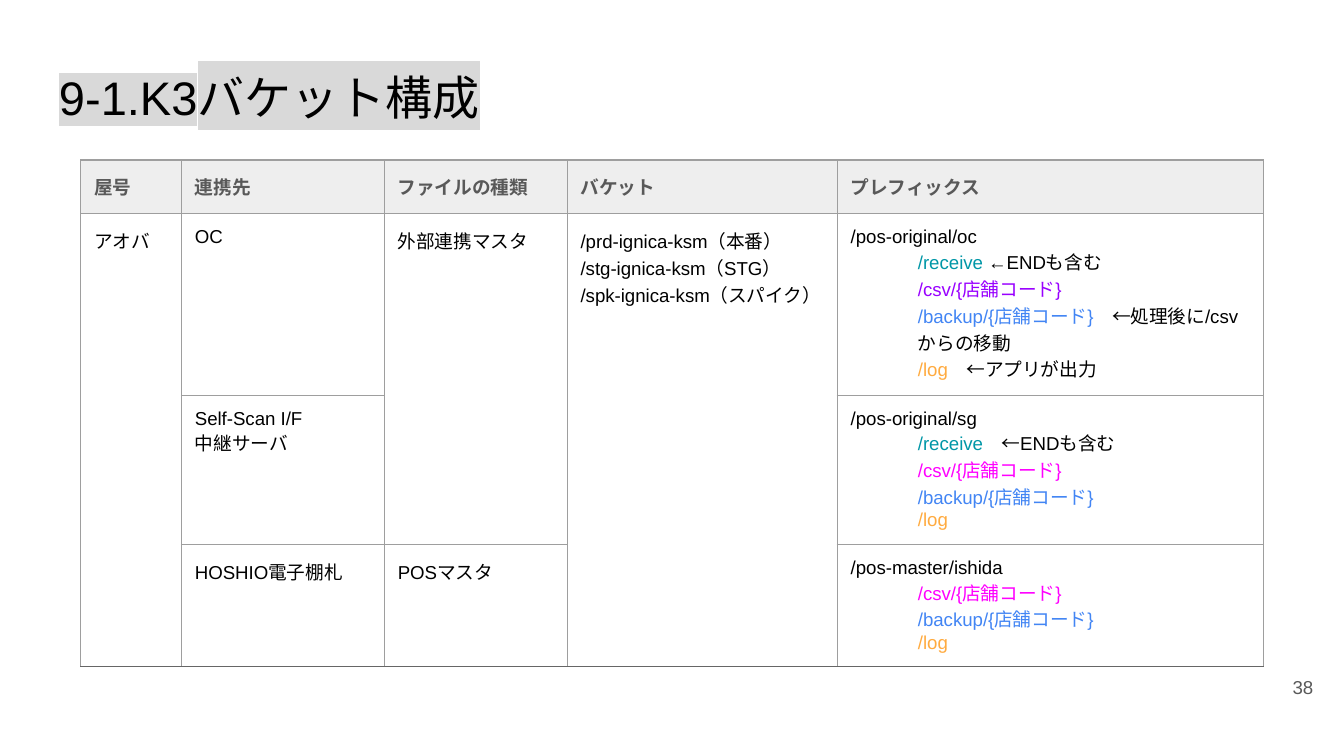
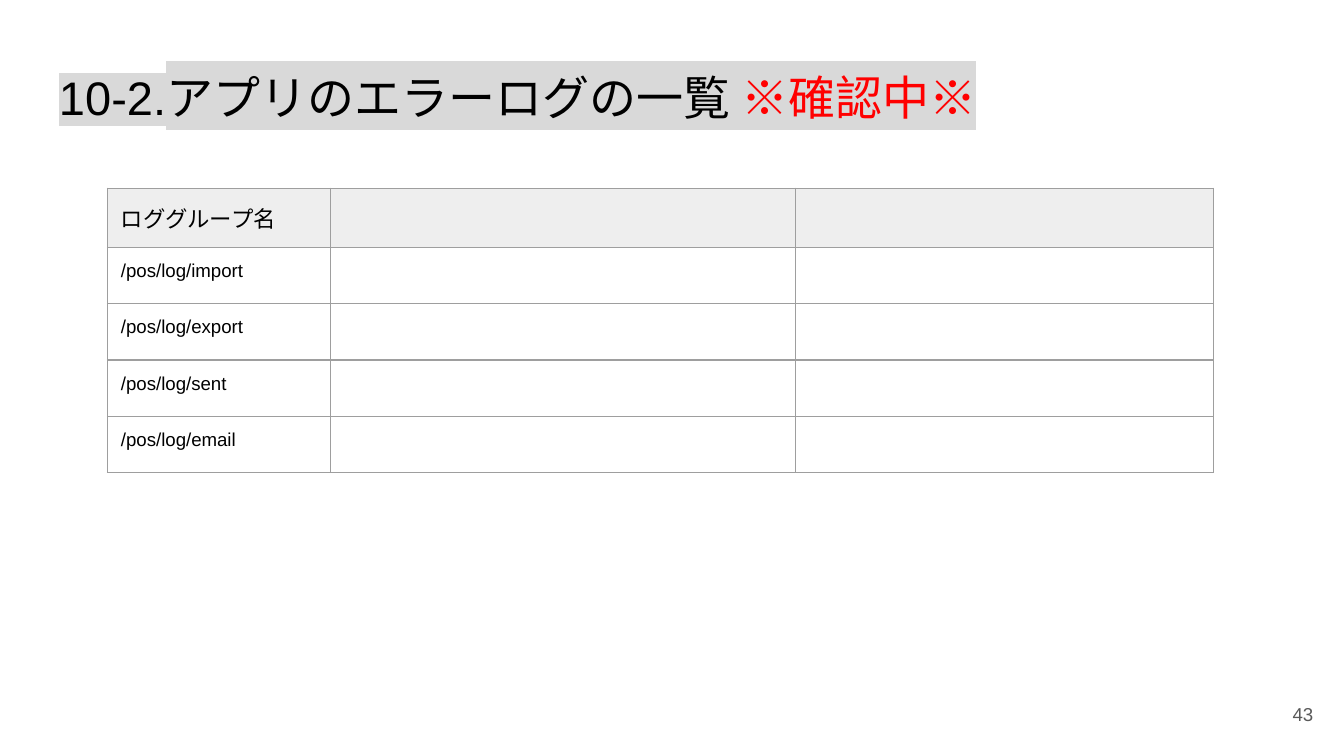
from dataclasses import dataclass

from pptx import Presentation
from pptx.dml.color import RGBColor
from pptx.enum.text import MSO_ANCHOR, PP_ALIGN
from pptx.oxml import parse_xml
from pptx.oxml.ns import nsdecls, qn
from pptx.util import Inches, Pt

COLORS = {
    "black": "000000",
    "gray": "595959",
    "red": "FF0000",
    "highlight": "D9D9D9",
    "header": "EEEEEE",
    "border": "9E9E9E",
    "last_border": "666666",
    "teal": "0097A7",
    "purple": "9900FF",
    "magenta": "FF00FF",
    "blue": "4285F4",
    "orange": "FFAB40",
}
FONT = "Arial"
MARGIN = Inches(0.1)


@dataclass(frozen=True)
class Span:
    text: str
    color: str = "black"


@dataclass(frozen=True)
class Line:
    spans: tuple[Span, ...]
    indented: bool = False


@dataclass(frozen=True)
class Style:
    size: float
    bold: bool = False
    highlight: str = ""


@dataclass(frozen=True)
class Grid:
    left: float
    top: float
    columns: tuple[float, ...]
    rows: tuple[float, ...]
    header_style: Style
    bottom: str = "border"
    merges: tuple[tuple[int, int, int], ...] = ()


TITLE = Style(25.2, highlight="highlight")
BODY = Style(10)


def plain(text: str, color: str = "black") -> list[Line]:
    return [Line((Span(part, color),)) for part in text.split("\n")]


def folder(*spans: Span) -> Line:
    return Line(spans, indented=True)


def write_lines(frame, lines: list[Line], style: Style) -> None:
    for index, line in enumerate(lines):
        paragraph = frame.add_paragraph() if index else frame.paragraphs[0]
        if line.indented:
            properties = paragraph._p.get_or_add_pPr()
            properties.set("marL", str(Inches(0.5)))
            properties.set("indent", "0")
        for span in line.spans:
            run = paragraph.add_run()
            run.text = span.text
            font = run.font
            font.size = Pt(style.size)
            font.bold = style.bold
            font.color.rgb = RGBColor.from_string(COLORS[span.color])
            font.name = FONT
            if style.highlight:
                run._r.get_or_add_rPr().find(qn("a:solidFill")).addnext(parse_xml(
                    f'<a:highlight {nsdecls("a")}>'
                    f'<a:srgbClr val="{COLORS[style.highlight]}"/></a:highlight>'
                ))


def add_text(slide, left: float, top: float, width: float, height: float,
             lines: list[Line], style: Style):
    frame = slide.shapes.add_textbox(
        Inches(left), Inches(top), Inches(width), Inches(height)
    ).text_frame
    frame.word_wrap = True
    frame.margin_left = frame.margin_right = MARGIN
    frame.margin_top = frame.margin_bottom = MARGIN
    write_lines(frame, lines, style)
    return frame


def add_page(deck, title: tuple[Span, ...], number: int, number_top: float):
    slide = deck.slides.add_slide(deck.slide_layouts[6])
    heading = add_text(slide, 0.34, 0.46, 9.32, 0.63, [Line(title)], TITLE)
    heading.paragraphs[0].line_spacing = 0.9
    page_number = add_text(slide, 9.27, number_top, 0.6, 0.43,
                           plain(str(number), "gray"), BODY)
    page_number.vertical_anchor = MSO_ANCHOR.MIDDLE
    page_number.paragraphs[0].alignment = PP_ALIGN.RIGHT
    return slide


def set_borders(cell, bottom: str) -> None:
    properties = cell._tc.get_or_add_tcPr()
    for side in "LRTB":
        color = COLORS[bottom if side == "B" else "border"]
        properties.append(parse_xml(
            f'<a:ln{side} {nsdecls("a")} w="{Pt(0.75)}"><a:solidFill>'
            f'<a:srgbClr val="{color}"/></a:solidFill></a:ln{side}>'
        ))


def add_grid(slide, grid: Grid, content: dict[tuple[int, int], list[Line]]) -> None:
    table = slide.shapes.add_table(
        len(grid.rows), len(grid.columns), Inches(grid.left), Inches(grid.top),
        Inches(sum(grid.columns)), Inches(sum(grid.rows)),
    ).table
    table.first_row = table.horz_banding = False
    for column, width in zip(table.columns, grid.columns):
        column.width = Inches(width)
    for row, height in zip(table.rows, grid.rows):
        row.height = Inches(height)
    for column, first, last in grid.merges:
        table.cell(first, column).merge(table.cell(last, column))
    for r in range(len(grid.rows)):
        for c in range(len(grid.columns)):
            cell = table.cell(r, c)
            if cell.is_spanned:
                continue
            cell.margin_left = cell.margin_right = MARGIN
            cell.margin_top = cell.margin_bottom = MARGIN
            at_bottom = r + cell.span_height == len(grid.rows)
            set_borders(cell, grid.bottom if at_bottom else "border")
            if r:
                cell.fill.background()
            else:
                cell.fill.solid()
                cell.fill.fore_color.rgb = RGBColor.from_string(COLORS["header"])
            style = BODY if r else grid.header_style
            lines = content.get((r, c), [])
            write_lines(cell.text_frame, lines, style)
            if not lines:
                ending = cell.text_frame.paragraphs[0]._p.get_or_add_endParaRPr()
                ending.set("sz", str(int(style.size * 100)))


def build_buckets(deck) -> None:
    slide = add_page(deck, (Span("9-1.K3バケット構成"),), 38, 4.9)
    receive = Span("/receive", "teal")
    backup = Span("/backup/{店舗コード}", "blue")
    log = Span("/log", "orange")
    csv = "/csv/{店舗コード}"
    shared = [folder(Span(csv, "magenta")), folder(backup), folder(log)]
    headers = ("屋号", "連携先", "ファイルの種類", "バケット", "プレフィックス")
    content = {(0, c): plain(text, "gray") for c, text in enumerate(headers)}
    content |= {
        (1, 0): plain("アオバ"),
        (1, 1): plain("OC"),
        (1, 2): plain("外部連携マスタ"),
        (1, 3): plain("/prd-ignica-ksm（本番）\n/stg-ignica-ksm（STG）\n"
                      "/spk-ignica-ksm（スパイク）"),
        (1, 4): plain("/pos-original/oc") + [
            folder(receive, Span(" ←ENDも含む")),
            folder(Span(csv, "purple")),
            folder(backup, Span("　←処理後に/csvからの移動")),
            folder(log, Span("　←アプリが出力")),
        ],
        (2, 1): plain("Self-Scan I/F\n中継サーバ"),
        (2, 4): plain("/pos-original/sg")
        + [folder(receive, Span("　←ENDも含む"))] + shared,
        (3, 1): plain("HOSHIO電子棚札"),
        (3, 2): plain("POSマスタ"),
        (3, 4): plain("/pos-master/ishida") + shared,
    }
    grid = Grid(0.6, 1.19, (0.75, 1.51, 1.36, 2.01, 3.17), (0.4, 1.35, 1.11, 0.91),
                Style(10, bold=True), "last_border",
                ((0, 1, 3), (2, 1, 2), (3, 1, 3)))
    add_grid(slide, grid, content)


def build_error_logs(deck) -> None:
    title = (Span("10-2.アプリのエラーログの一覧 "), Span("※確認中※", "red"))
    slide = add_page(deck, title, 43, 5.1)
    content = {(0, 0): plain("ロググループ名")}
    for r, group in enumerate(("import", "export", "sent", "email"), start=1):
        content[r, 0] = plain(f"/pos/log/{group}")
    grid = Grid(0.8, 1.4, (1.66, 3.46, 3.11), (0.44,) + (0.42,) * 4, Style(12))
    add_grid(slide, grid, content)


def main() -> None:
    deck = Presentation()
    deck.slide_width = Inches(10)
    deck.slide_height = deck.slide_width * 9 // 16
    build_buckets(deck)
    build_error_logs(deck)
    deck.save("out.pptx")


if __name__ == "__main__":
    main()
